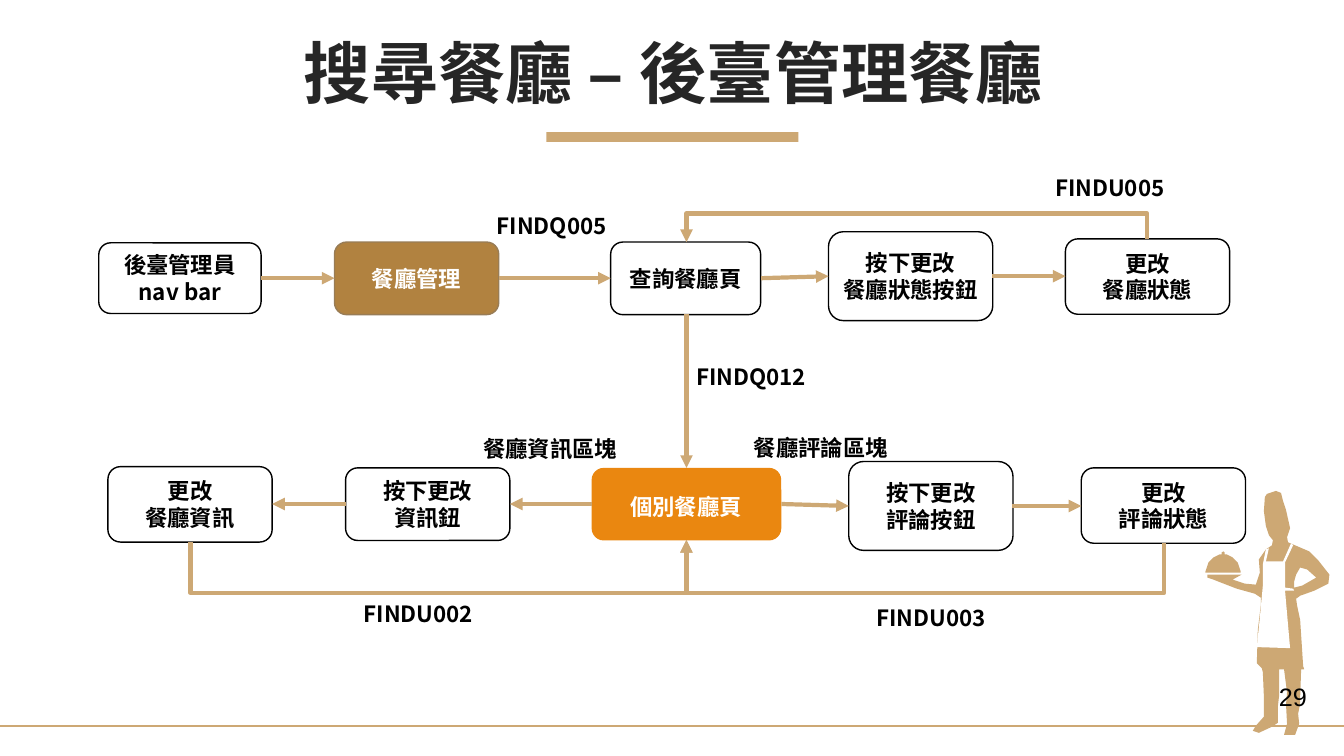
from lxml.etree import SubElement
from pptx import Presentation
from pptx.dml.color import RGBColor
from pptx.enum.shapes import MSO_CONNECTOR, MSO_SHAPE
from pptx.enum.text import MSO_ANCHOR, MSO_AUTO_SIZE, PP_ALIGN
from pptx.oxml.ns import qn
from pptx.util import Cm, Pt

TAN = RGBColor(0xCD, 0xA8, 0x74)
BROWN = RGBColor(0xB1, 0x82, 0x40)
BROWN_EDGE = RGBColor(0x98, 0x7C, 0x56)
ORANGE = RGBColor(0xEA, 0x87, 0x10)
INK = RGBColor(0x26, 0x26, 0x26)
BLACK = RGBColor(0, 0, 0)
WHITE = RGBColor(0xFF, 0xFF, 0xFF)
CJK = "Noto Sans CJK SC"

CHEF_BODY = [
    (1198, 570), (1232, 570), (1223, 575), (1235, 579), (1246, 580), (1250, 568),
    (1249, 555), (1256, 545), (1262, 541), (1263, 536), (1259, 531), (1256, 522),
    (1254, 507), (1255, 493), (1257, 490), (1266, 487), (1271, 489), (1273, 497),
    (1276, 506), (1280, 524), (1277, 533), (1278, 538), (1285, 541), (1299, 547),
    (1308, 556), (1319, 570), (1318, 579), (1304, 586), (1290, 591), (1286, 594),
    (1287, 601), (1290, 615), (1293, 661), (1294, 664), (1291, 664), (1290, 692),
    (1290, 698), (1288, 708), (1289, 718), (1285, 729), (1274, 729), (1277, 718),
    (1276, 699), (1277, 687), (1274, 664), (1269, 664), (1269, 691), (1268, 700),
    (1268, 717), (1262, 721), (1249, 727), (1243, 725), (1246, 720), (1254, 711),
    (1254, 691), (1253, 667), (1252, 663), (1247, 658), (1248, 625), (1251, 600),
    (1251, 593), (1245, 589), (1227, 584), (1209, 577), (1204, 575), (1198, 573),
]
CHEF_ARM_GAP = [(1284, 583), (1292, 581), (1306, 573), (1297, 565), (1290, 563),
                (1286, 570), (1284, 577)]
APRON = [
    (1281, 539), (1273, 557), (1256, 557), (1259, 544), (1256, 545), (1253, 560),
    (1253, 581), (1250, 613), (1247, 642), (1280, 643), (1275, 586), (1284, 586),
    (1283, 584), (1275, 583), (1275, 558), (1283, 541),
]
CLOCHE = [
    (1214, 547), (1212, 548), (1212, 550), (1210, 550), (1204, 553), (1199, 558),
    (1196, 567), (1196, 568), (1231, 568), (1231, 567), (1228, 558), (1223, 553),
    (1217, 550), (1215, 550), (1215, 548),
]


def write(shape, text, color=BLACK, size=16, bold=True, font=CJK,
          align=PP_ALIGN.CENTER):
    p = shape.text_frame.paragraphs[0]
    p.text = text
    p.alignment = align
    p.font.size = Pt(size)
    p.font.bold = bold
    p.font.color.rgb = color
    p.font.name = font
    SubElement(p._p.pPr.find(qn("a:defRPr")), qn("a:ea"), typeface=font)
    return p


def paint(sp, fill, line=None):
    sp.shadow.inherit = False
    sp.fill.solid()
    sp.fill.fore_color.rgb = fill
    if line is None:
        sp.line.fill.background()
    else:
        sp.line.color.rgb = line
        sp.line.width = Pt(1)


def box(s, x, y, w, h, text="", fill=WHITE, line=BLACK, color=BLACK,
        kind=MSO_SHAPE.ROUNDED_RECTANGLE):
    sp = s.shapes.add_shape(kind, Cm(x), Cm(y), Cm(w), Cm(h))
    paint(sp, fill, line)
    if text:
        sp.text_frame.vertical_anchor = MSO_ANCHOR.MIDDLE
        write(sp, text, color)


def label(s, x, y, w, text, h=0.94, wrap=False, **style):
    tb = s.shapes.add_textbox(Cm(x), Cm(y), Cm(w), Cm(h))
    tb.text_frame.word_wrap = wrap
    tb.text_frame.auto_size = MSO_AUTO_SIZE.SHAPE_TO_FIT_TEXT
    write(tb, text, **style)


def title(s, text):
    tb = s.shapes.add_textbox(Cm(0.89), Cm(0.94), Cm(32.16), Cm(2.01))
    tb.text_frame.word_wrap = True
    tb.text_frame.vertical_anchor = MSO_ANCHOR.MIDDLE
    p = write(tb, text, INK, 48)
    p.line_spacing = 0.9
    p.space_before = Pt(10)


def connector(s, x1, y1, x2, y2, kind=MSO_CONNECTOR.STRAIGHT, width=3, arrow=True):
    c = s.shapes.add_connector(kind, Cm(x1), Cm(y1), Cm(x2), Cm(y2))
    c.line.color.rgb = TAN
    c.line.width = Pt(width)
    if arrow:
        SubElement(c.line._get_or_add_ln(), qn("a:tailEnd"), type="triangle")
    SubElement(c._element.spPr, qn("a:effectLst"))
    return c


def elbow(s, x1, y1, x2, y2, bend_y):
    w, h = abs(y2 - y1), abs(x2 - x1)
    x, y = (x1 + x2 - w) / 2, (y1 + y2 - h) / 2
    c = connector(s, x, y, x + w, y + h, MSO_CONNECTOR.ELBOW)
    xfrm = c._element.spPr.find(qn("a:xfrm"))
    xfrm.set("rot", "5400000")
    if y1 > y2:
        xfrm.set("flipH", "1")
    if x1 < x2:
        xfrm.set("flipV", "1")
    geom = c._element.spPr.find(qn("a:prstGeom"))
    guides = geom.find(qn("a:avLst"))
    if guides is None:
        guides = SubElement(geom, qn("a:avLst"))
    bend = round((bend_y - y1) / (y2 - y1) * 100000)
    SubElement(guides, qn("a:gd"), name="adj1", fmla=f"val {bend}")


def outline(s, fill, *contours):
    fb = s.shapes.build_freeform(*contours[0][0], scale=Cm(2.54) / 100)
    for i, points in enumerate(contours):
        if i:
            fb.move_to(*points[0])
        fb.add_line_segments(points[1:], close=True)
    paint(fb.convert_to_shape(), fill)


def main():
    prs = Presentation()
    prs.slide_width, prs.slide_height = Cm(33.87), Cm(19.05)
    s = prs.slides.add_slide(prs.slide_layouts[6])

    box(s, 13.77, 3.33, 6.35, 0.25, fill=TAN, line=None, kind=MSO_SHAPE.RECTANGLE)
    connector(s, 0, 18.29, 33.87, 18.29, width=1.5, arrow=False)
    outline(s, TAN, CHEF_BODY, CHEF_ARM_GAP)
    outline(s, WHITE, APRON)
    outline(s, TAN, CLOCHE)
    title(s, "搜尋餐廳 – 後臺管理餐廳")

    box(s, 2.49, 6.12, 4.09, 1.78, "後臺管理員\nnav bar",
        kind=MSO_SHAPE.FLOWCHART_ALTERNATE_PROCESS)
    box(s, 8.43, 6.1, 4.14, 1.83, "餐廳管理", BROWN, BROWN_EDGE, WHITE)
    box(s, 14.91, 11.79, 4.78, 1.83, fill=ORANGE, line=None)
    box(s, 15.29, 12.29, 4.01, 0.94, "個別餐廳頁", ORANGE, None, WHITE)
    for x, y, w, h, text in [
        (15.39, 6.1, 3.78, 1.83, "查詢餐廳頁"),
        (20.88, 5.84, 4.14, 2.24, "按下更改\n餐廳狀態按鈕"),
        (26.85, 6.02, 4.14, 1.9, "更改\n餐廳狀態"),
        (2.72, 11.76, 4.14, 1.9, "更改\n餐廳資訊"),
        (8.71, 11.79, 4.14, 1.83, "按下更改\n資訊鈕"),
        (21.39, 11.63, 4.14, 2.24, "按下更改\n評論按鈕"),
        (27.25, 11.79, 4.14, 1.9, "更改\n評論狀態"),
    ]:
        box(s, x, y, w, h, text)

    for ends in [
        (6.58, 7.01, 8.43, 7.01), (12.57, 7.01, 15.39, 7.01),
        (19.18, 7.01, 20.88, 6.96), (25, 6.96, 26.85, 6.96),
        (17.3, 7.92, 17.3, 11.79),
        (14.91, 12.7, 12.85, 12.7), (8.71, 12.7, 6.86, 12.7),
        (19.69, 12.7, 21.39, 12.75), (25.5, 12.75, 27.25, 12.75),
    ]:
        connector(s, *ends)
    elbow(s, 28.91, 6.02, 17.3, 6.1, 5.38)
    elbow(s, 29.34, 13.69, 17.3, 13.61, 14.94)
    elbow(s, 4.8, 13.67, 17.3, 13.61, 14.94)

    for x, y, code in [
        (12.27, 5.23, "FINDQ005"), (17.3, 9.02, "FINDQ012"),
        (26.34, 4.27, "FINDU005"), (8.92, 14.99, "FINDU002"),
        (21.84, 15.11, "FINDU003"),
    ]:
        label(s, x, y, 3.37, code, align=PP_ALIGN.LEFT)
    label(s, 11.84, 10.85, 4.06, "餐廳資訊區塊", wrap=True)
    label(s, 18.29, 10.82, 4.8, "餐廳評論區塊", wrap=True)
    label(s, 31.98, 17.04, 1.22, "29", h=1.02, size=18, bold=False, font="Arial",
          align=PP_ALIGN.LEFT)

    prs.save("out.pptx")


if __name__ == "__main__":
    main()
